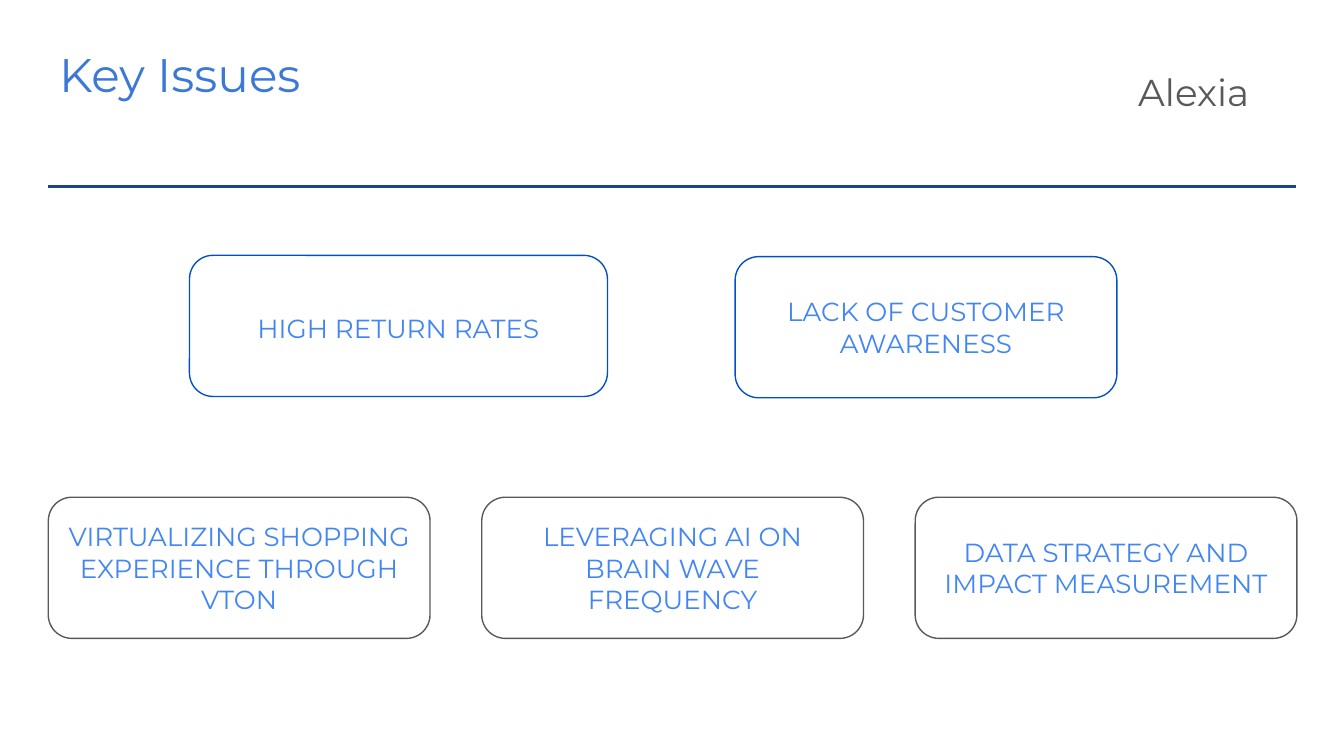
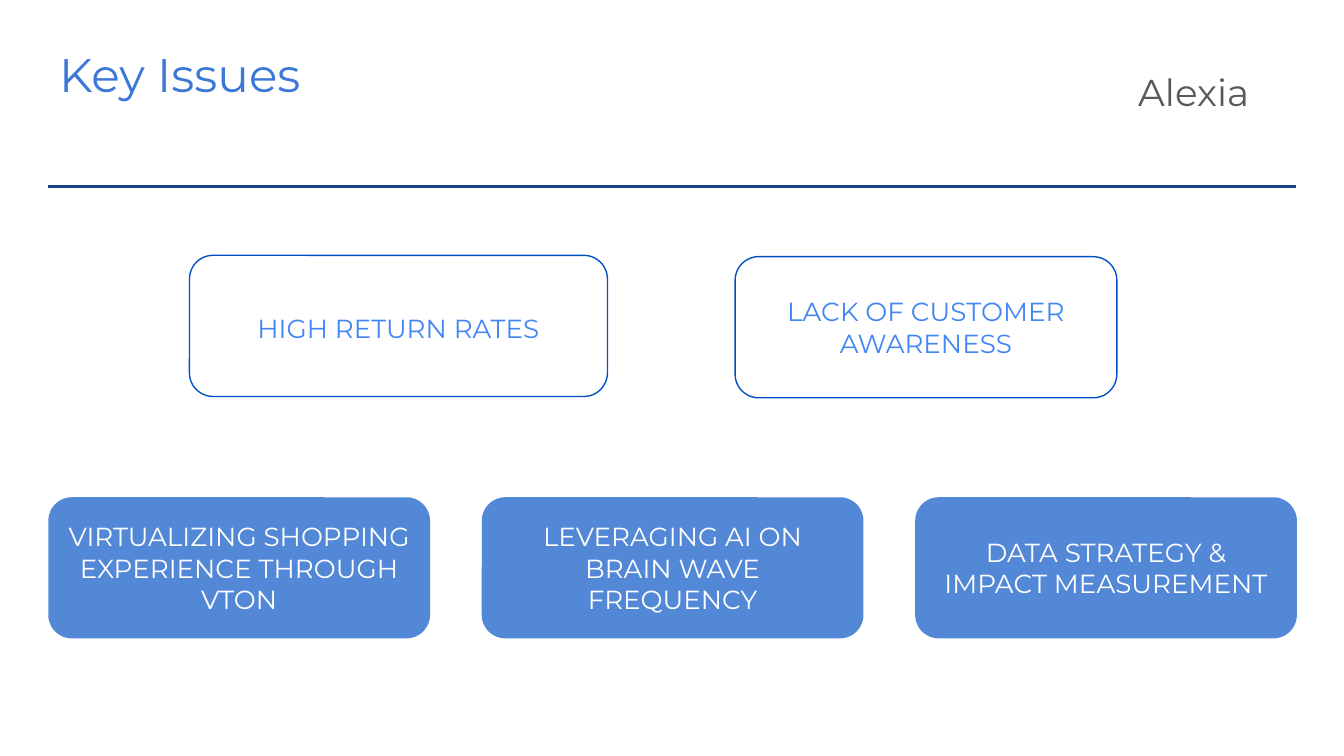
import pptx
import pptx.util
import pptx.dml.color
import pptx.enum.shapes
import pptx.enum.text
import pptx.oxml.ns
import lxml.etree

Inches = pptx.util.Inches
Pt = pptx.util.Pt
RGBColor = pptx.dml.color.RGBColor
ANCHOR = pptx.enum.text.MSO_ANCHOR
ALIGN = pptx.enum.text.PP_ALIGN

FONT = "Montserrat"
TITLE_BLUE = RGBColor(0x3C, 0x78, 0xD8)
RULE_NAVY = RGBColor(0x1C, 0x45, 0x87)
GRAY = RGBColor(0x59, 0x59, 0x59)
ISSUE_BLUE = RGBColor(0x02, 0x50, 0xC5)
TEXT_BLUE = RGBColor(0x42, 0x85, 0xF4)
WHITE = RGBColor(0xFF, 0xFF, 0xFF)

BOX_HEIGHT = 1.05
BOX_WIDTH = 2.84
FIRST_SOLUTION_LEFT = 0.36
LAST_SOLUTION_LEFT = 6.81


def write_text(shape, text, size, color, align, anchor):
    text_frame = shape.text_frame
    text_frame.text = text
    text_frame.word_wrap = True
    text_frame.auto_size = pptx.enum.text.MSO_AUTO_SIZE.NONE
    text_frame.vertical_anchor = anchor
    text_frame.margin_left = text_frame.margin_right = Inches(0.1)
    text_frame.margin_top = text_frame.margin_bottom = Inches(0.1)
    paragraph = text_frame.paragraphs[0]
    paragraph.alignment = align
    font = paragraph.runs[0].font
    font.name = FONT
    font.size = Pt(size)
    font.color.rgb = color
    return paragraph


def add_box(slide, left, top, width, text, line_color, text_color):
    shape = slide.shapes.add_shape(
        pptx.enum.shapes.MSO_SHAPE.ROUNDED_RECTANGLE,
        Inches(left), Inches(top), Inches(width), Inches(BOX_HEIGHT))
    shape.shadow.inherit = False
    if line_color is None:
        shape.fill.solid()
        shape.fill.fore_color.rgb = ISSUE_BLUE
        color_element = shape._element.spPr.find(".//" + pptx.oxml.ns.qn("a:srgbClr"))
        alpha = lxml.etree.SubElement(color_element, pptx.oxml.ns.qn("a:alpha"))
        alpha.set("val", "68000")
        shape.line.fill.background()
    else:
        shape.fill.background()
        shape.line.color.rgb = line_color
        shape.line.width = Pt(0.75)
    return write_text(shape, text, 14, text_color, ALIGN.CENTER, ANCHOR.MIDDLE)


presentation = pptx.Presentation()
presentation.slide_width = Inches(10)
presentation.slide_height = Inches(10 * 9 / 16)

slide_styles = [
    (GRAY, TEXT_BLUE, "DATA STRATEGY AND IMPACT MEASUREMENT"),
    (None, WHITE, "DATA STRATEGY & IMPACT MEASUREMENT"),
]

for solution_line, solution_text, measurement in slide_styles:
    slide = presentation.slides.add_slide(presentation.slide_layouts[5])

    title = slide.shapes.title
    title.left, title.top = Inches(0.34), Inches(0.24)
    title.width, title.height = Inches(9.32), Inches(0.63)
    write_text(title, "Key Issues", 25.2, TITLE_BLUE, ALIGN.LEFT, ANCHOR.TOP)

    rule = slide.shapes.add_connector(
        pptx.enum.shapes.MSO_CONNECTOR.STRAIGHT,
        Inches(0.36), Inches(1.39), Inches(9.64), Inches(1.39))
    rule.line.color.rgb = RULE_NAVY
    rule.line.width = Pt(1.5)
    lxml.etree.SubElement(rule._element.spPr, pptx.oxml.ns.qn("a:effectLst"))

    presenter = slide.shapes.add_textbox(
        Inches(8.37), Inches(0.45), Inches(1.29), Inches(0.66))
    paragraph = write_text(presenter, "Alexia", 20, GRAY, ALIGN.LEFT, ANCHOR.TOP)
    paragraph.line_spacing = 0.9

    solutions = [
        "VIRTUALIZING SHOPPING EXPERIENCE THROUGH VTON",
        "LEVERAGING AI ON BRAIN WAVE FREQUENCY",
        measurement,
    ]
    solution_step = (LAST_SOLUTION_LEFT - FIRST_SOLUTION_LEFT) / (len(solutions) - 1)
    for column, solution in enumerate(solutions):
        add_box(slide, FIRST_SOLUTION_LEFT + column * solution_step, 3.7, BOX_WIDTH,
                solution, solution_line, solution_text)

    paragraph = add_box(slide, 1.41, 1.9, 3.11, "HIGH RETURN RATES",
                        ISSUE_BLUE, TEXT_BLUE)
    paragraph.line_spacing = 1.15
    add_box(slide, 5.47, 1.91, BOX_WIDTH, "LACK OF CUSTOMER AWARENESS",
            ISSUE_BLUE, TEXT_BLUE)

presentation.save("out.pptx")
